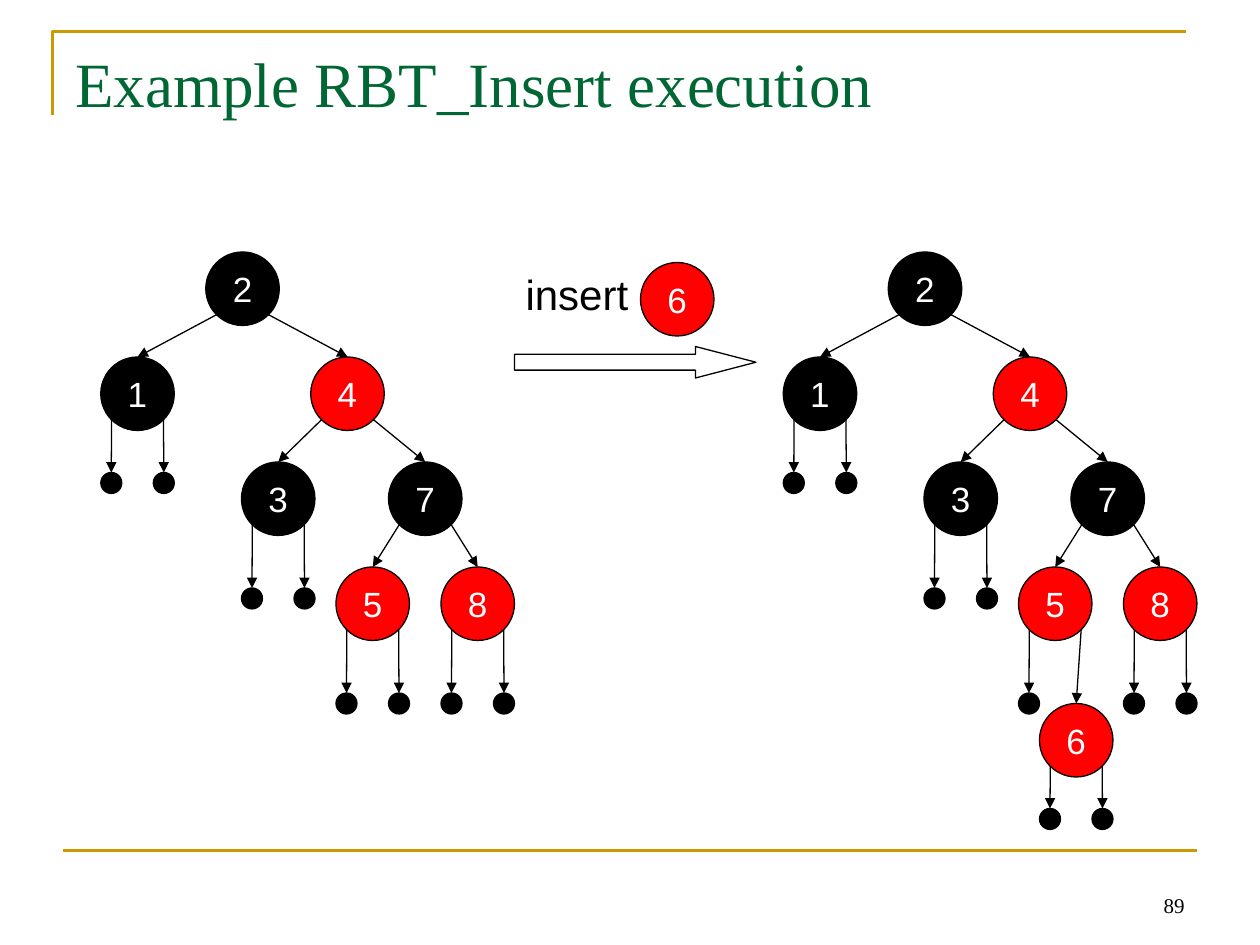
from dataclasses import dataclass

from pptx import Presentation, util as u
from pptx.dml.color import RGBColor
from pptx.enum import shapes, text
from pptx.oxml.ns import qn

# The slide is a grid of 120 columns by 90 rows; one cell is 1/12 inch.
CELL = u.Inches(1) // 12
COLUMNS, ROWS = 120, 90
NODE, LEAF = 7, 2
LEAF_GAP = 5
CORNER = 1.03  # inset of an ellipse's diagonal point in a node
BLACK, RED, WHITE = "000000", "FF0101", "FFFFFF"
GOLD, GREEN = "CC9900", "006633"


@dataclass
class Node:
    key: str
    column: float
    row: float
    fill: str
    left: "Node | None" = None
    right: "Node | None" = None
    leaf_drop: float = 12


def color(value: str) -> RGBColor:
    return RGBColor.from_string(value)


def cells(*values: float) -> list[int]:
    return [round(value * CELL) for value in values]


def set_text(shape, words: str, size: float, font: str, ink: str,
             align=text.PP_ALIGN.CENTER, anchor=text.MSO_ANCHOR.MIDDLE,
             wrap: bool = False) -> None:
    frame = shape.text_frame
    frame.text = words
    frame.word_wrap = wrap
    frame.vertical_anchor = anchor
    paragraph = frame.paragraphs[0]
    paragraph.alignment = align
    run_font = paragraph.runs[0].font
    run_font.size, run_font.name = u.Pt(size), font
    run_font.color.rgb = color(ink)


def add_line(slide, start: tuple, end: tuple, ink: str = BLACK,
             width: float = 0.75, arrow: bool = True) -> None:
    line = slide.shapes.add_connector(
        shapes.MSO_CONNECTOR.STRAIGHT, *cells(*start, *end))
    line.line.color.rgb = color(ink)
    line.line.width = u.Pt(width)
    properties = line._element.spPr
    if arrow:
        outline = line.line._get_or_add_ln()
        head = outline.makeelement(qn("a:tailEnd"), {"type": "triangle"})
        outline.append(head)
    properties.append(properties.makeelement(qn("a:effectLst"), {}))


def add_circle(slide, column: float, row: float, size: float, fill: str):
    circle = slide.shapes.add_shape(
        shapes.MSO_SHAPE.OVAL, *cells(column, row, size, size))
    circle.shadow.inherit = False
    circle.fill.solid()
    circle.fill.fore_color.rgb = color(fill)
    circle.line.color.rgb = color(BLACK)
    circle.line.width = u.Pt(0.75)
    return circle


def add_key(slide, key: str, column: float, row: float, fill: str) -> None:
    circle = add_circle(slide, column, row, NODE, fill)
    set_text(circle, key, 20, "Arial", WHITE)
    frame = circle.text_frame
    frame.margin_left = frame.margin_right = 0
    frame.margin_top = frame.margin_bottom = 0


def add_tree(slide, node: Node, origin: float) -> None:
    """Draw a node, its arrows, and its subtrees or empty leaves."""
    column = origin + node.column
    add_key(slide, node.key, column, node.row, node.fill)
    sides = ((node.left, 0, CORNER), (node.right, LEAF_GAP, NODE - CORNER))
    for child, leaf_shift, exit_shift in sides:
        if child:
            target = (origin + child.column + NODE / 2, child.row)
            add_tree(slide, child, origin)
        else:
            leaf_column, leaf_row = column + leaf_shift, node.row + node.leaf_drop
            target = (leaf_column + LEAF / 2, leaf_row)
            add_circle(slide, leaf_column, leaf_row, LEAF, BLACK)
        add_line(slide, (column + exit_shift, node.row + NODE - CORNER), target)


def search_tree(inserted: Node | None = None) -> Node:
    five = Node("5", 22.4, 54, RED, right=inserted)
    eight = Node("8", 32.4, 54, RED)
    seven = Node("7", 27.4, 44, BLACK, five, eight)
    three = Node("3", 13.4, 44, BLACK)
    four = Node("4", 20, 34, RED, three, seven)
    one = Node("1", 0, 34, BLACK, leaf_drop=11)
    return Node("2", 10, 24, BLACK, one, four)


def add_frame(slide) -> None:
    builder = slide.shapes.build_freeform(5, 11, scale=CELL)
    builder.add_line_segments([(5, 3), (113, 3)], close=False)
    corner = builder.convert_to_shape()
    corner.shadow.inherit = False
    corner.fill.background()
    corner.line.color.rgb = color(GOLD)
    corner.line.width = u.Pt(1.5)
    add_line(slide, (6, 81), (114, 81), GOLD, 1.5, arrow=False)


def main() -> None:
    presentation = Presentation()
    presentation.slide_width, presentation.slide_height = cells(COLUMNS, ROWS)
    slide = presentation.slides.add_slide(presentation.slide_layouts[6])

    # Frame, page number and title
    add_frame(slide)
    number = slide.shapes.add_textbox(*cells(86, 82, 28, 6))
    set_text(number, "89", 12, "Times New Roman", BLACK,
             text.PP_ALIGN.RIGHT, text.MSO_ANCHOR.BOTTOM, True)
    title = slide.shapes.add_textbox(*cells(6, 3.6, 108, 15))
    set_text(title, "Example RBT_Insert execution", 36, "Times New Roman",
             GREEN, text.PP_ALIGN.LEFT, text.MSO_ANCHOR.TOP, True)

    # Trees before and after the insertion
    add_tree(slide, search_tree(), 9.6)
    add_tree(slide, search_tree(Node("6", 24.4, 67, RED, leaf_drop=10)), 74.6)

    # Insert step between the trees
    add_key(slide, "6", 61, 25, RED)
    label = slide.shapes.add_textbox(*cells(48.8, 25, 12.3, 6))
    set_text(label, "insert", 24, "Arial", BLACK, anchor=text.MSO_ANCHOR.TOP)
    arrow = slide.shapes.add_shape(
        shapes.MSO_SHAPE.RIGHT_ARROW, *cells(49, 33, 23, 3))
    arrow.adjustments[0], arrow.adjustments[1] = 0.5, 1.92
    arrow.shadow.inherit = False
    arrow.fill.background()
    arrow.line.color.rgb = color(BLACK)
    arrow.line.width = u.Pt(0.75)

    presentation.save("out.pptx")


if __name__ == "__main__":
    main()
